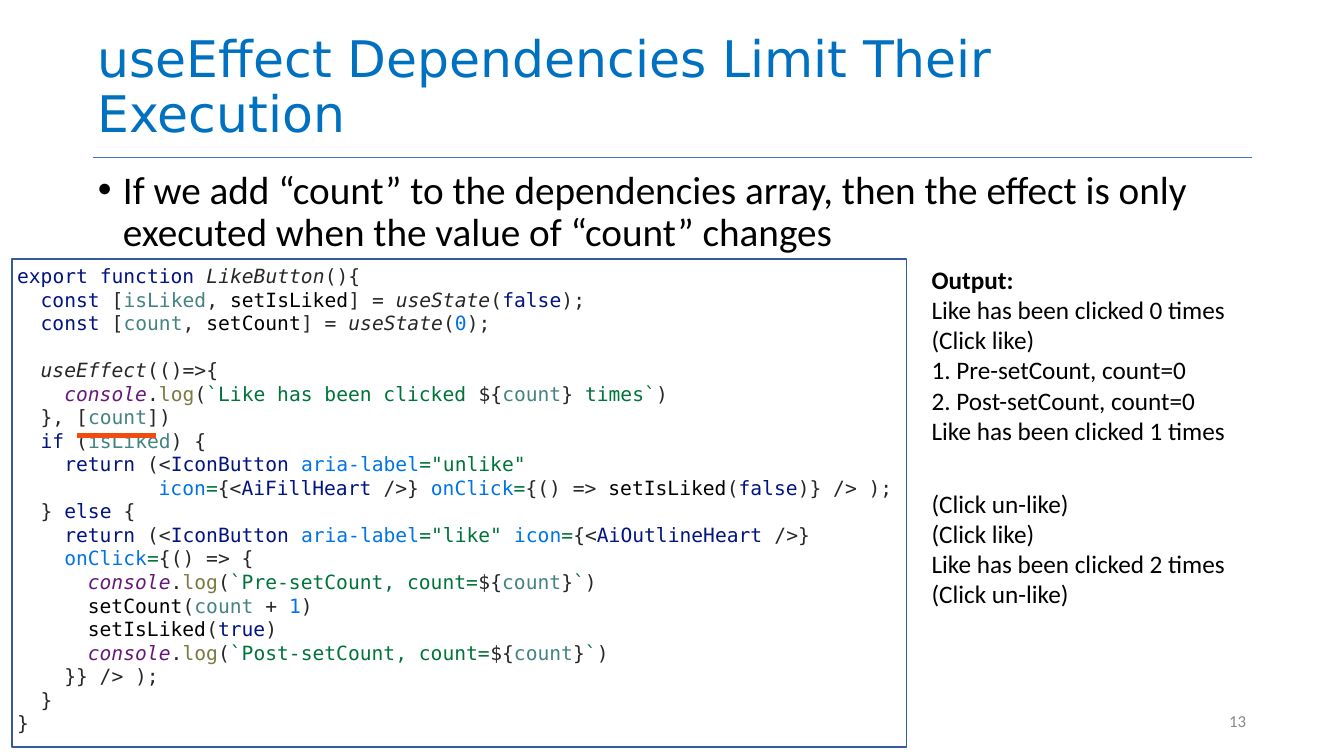
from dataclasses import dataclass
from typing import NamedTuple

from lxml import etree
from pptx import Presentation
from pptx.dml.color import RGBColor
from pptx.enum.shapes import MSO_CONNECTOR, MSO_SHAPE
from pptx.enum.text import MSO_ANCHOR, MSO_AUTO_SIZE, PP_ALIGN
from pptx.oxml.ns import qn
from pptx.util import Inches, Pt

STRAIGHT = MSO_CONNECTOR.STRAIGHT
RECTANGLE = MSO_SHAPE.RECTANGLE
TOP, MIDDLE, BOTTOM = MSO_ANCHOR.TOP, MSO_ANCHOR.MIDDLE, MSO_ANCHOR.BOTTOM
LEFT, RIGHT = PP_ALIGN.LEFT, PP_ALIGN.RIGHT
NO_AUTOFIT = MSO_AUTO_SIZE.NONE

SANS, TITLE_FONT, MONO = "Calibri", "DejaVu Sans", "DejaVu Sans Mono"
COLUMN_WIDTH = 0.117
CODE_LINE_HEIGHT = 16.8


@dataclass(frozen=True)
class Style:
    font: str
    size: float
    color: str
    bold: bool = False
    italic: bool = False


class Span(NamedTuple):
    text: str
    style: Style


class CodeLine(NamedTuple):
    column: int
    spans: list[Span]
    gap_before: float = 0


class Rule(NamedTuple):
    left: float
    right: float
    y: float
    color: str
    width: float


class Note(NamedTuple):
    top: float
    height: float
    paragraphs: list[Span]


TITLE = Style(TITLE_FONT, 36, "0070C0")
BODY = Style(SANS, 28, "000000")
NUMBER = Style(SANS, 12, "888888")
OUTPUT = Style(SANS, 18, "000000")
HEADING = Style(SANS, 18, "000000", bold=True)
PLAIN = Style(MONO, 14, "272727")
CALL = Style(MONO, 14, "272727", italic=True)
KEYWORD = Style(MONO, 14, "011480")
VARIABLE = Style(MONO, 14, "458383")
SETTER = Style(MONO, 14, "000000")
LITERAL = Style(MONO, 14, "0073E6")
STRING = Style(MONO, 14, "00733B")
OBJECT = Style(MONO, 14, "66187A", italic=True)
METHOD = Style(MONO, 14, "7A7A43")


def state_line(value: str, setter: str, initial: Span) -> CodeLine:
    return CodeLine(2, [
        Span("const ", KEYWORD), Span("[", PLAIN), Span(value, VARIABLE), Span(", ", PLAIN),
        Span(setter, SETTER), Span("] = ", PLAIN), Span("useState", CALL), Span("(", PLAIN),
        initial, Span(");", PLAIN)])


def log_line(column: int, before: str, after: str) -> CodeLine:
    return CodeLine(column, [
        Span("console", OBJECT), Span(".", PLAIN), Span("log", METHOD), Span("(", PLAIN),
        Span(before, STRING), Span("${", PLAIN), Span("count", VARIABLE), Span("}", PLAIN),
        Span(after, STRING), Span(")", PLAIN)])


def attribute(name: str) -> list[Span]:
    return [Span(name, LITERAL), Span("=", STRING)]


def icon(name: str) -> list[Span]:
    return [*attribute("icon"), Span("{<", PLAIN), Span(name, KEYWORD)]


def button(label: str) -> list[Span]:
    return [Span("return ", KEYWORD), Span("(<", PLAIN), Span("IconButton ", KEYWORD),
            Span("aria-label", LITERAL), Span(label, STRING)]


def setter_call(name: str, value: str) -> list[Span]:
    return [Span(name, SETTER), Span("(", PLAIN), Span(value, KEYWORD)]


CODE = [
    CodeLine(0, [Span("export function ", KEYWORD), Span("LikeButton", CALL), Span("(){", PLAIN)]),
    state_line("isLiked", "setIsLiked", Span("false", KEYWORD)),
    state_line("count", "setCount", Span("0", LITERAL)),
    CodeLine(2, [Span("useEffect", CALL), Span("(()=>{", PLAIN)], CODE_LINE_HEIGHT),
    log_line(4, "`Like has been clicked ", " times`"),
    CodeLine(2, [Span("}, [", PLAIN), Span("count", VARIABLE), Span("])", PLAIN)]),
    CodeLine(2, [Span("if ", KEYWORD), Span("(", PLAIN), Span("isLiked", VARIABLE),
                 Span(") {", PLAIN)]),
    CodeLine(4, button("=\"unlike\"")),
    CodeLine(12, [*icon("AiFillHeart "), Span("/>} ", PLAIN), *attribute("onClick"),
                  Span("{() => ", PLAIN), *setter_call("setIsLiked", "false"),
                  Span(")} /> );", PLAIN)]),
    CodeLine(2, [Span("} ", PLAIN), Span("else ", KEYWORD), Span("{", PLAIN)]),
    CodeLine(4, [*button("=\"like\" "), *icon("AiOutlineHeart "), Span("/>}", PLAIN)]),
    CodeLine(4, [*attribute("onClick"), Span("{() => {", PLAIN)]),
    log_line(6, "`Pre-setCount, count=", "`"),
    CodeLine(6, [Span("setCount", SETTER), Span("(", PLAIN), Span("count ", VARIABLE),
                 Span("+ ", PLAIN), Span("1", LITERAL), Span(")", PLAIN)]),
    CodeLine(6, [*setter_call("setIsLiked", "true"), Span(")", PLAIN)]),
    log_line(6, "`Post-setCount, count=", "`"),
    CodeLine(4, [Span("}} /> );", PLAIN)]),
    CodeLine(2, [Span("}", PLAIN)]),
    CodeLine(0, [Span("}", PLAIN)]),
]

NOTES = [
    Note(2.57, 1.96, [
        Span("Output:", HEADING),
        Span("Like has been clicked 0 times", OUTPUT),
        Span("(Click like)\n1. Pre-setCount, count=0\n2. Post-setCount, count=0\n"
             "Like has been clicked 1 times", OUTPUT)]),
    Note(4.79, 1.32, [Span(text, OUTPUT) for text in (
        "(Click un-like)", "(Click like)", "Like has been clicked 2 times", "(Click un-like)")]),
]
RULES = [Rule(0.92, 12.42, 1.56, "4472C4", 0.5), Rule(0.76, 1.55, 4.32, "F14C0E", 4)]


def rgb(color: str) -> RGBColor:
    return RGBColor.from_string(color)


def add_span(para, span: Span) -> None:
    for index, text in enumerate(span.text.split("\n")):
        if index:
            para.add_line_break()
        run = para.add_run()
        run.text = text
        font = run.font
        font.name, font.size = span.style.font, Pt(span.style.size)
        font.bold, font.italic = span.style.bold, span.style.italic
        font.color.rgb = rgb(span.style.color)


def format_frame(frame, anchor=TOP, wrap: bool = True) -> None:
    frame.auto_size, frame.word_wrap, frame.vertical_anchor = NO_AUTOFIT, wrap, anchor
    frame.margin_left = frame.margin_right = Inches(0.05)
    frame.margin_top = frame.margin_bottom = Inches(0.05)


def fill_frame(frame, paragraphs: list[list[Span]], align=LEFT) -> None:
    for index, spans in enumerate(paragraphs):
        para = frame.add_paragraph() if index else frame.paragraphs[0]
        para.alignment = align
        for span in spans:
            add_span(para, span)


def add_text(page, place: tuple, paragraphs: list[list[Span]], anchor=TOP, align=LEFT,
             wrap: bool = True):
    box = page.shapes.add_textbox(*map(Inches, place))
    format_frame(box.text_frame, anchor, wrap)
    fill_frame(box.text_frame, paragraphs, align)
    return box


def add_rule(page, rule: Rule) -> None:
    line = page.shapes.add_connector(
        STRAIGHT, Inches(rule.left), Inches(rule.y), Inches(rule.right), Inches(rule.y))
    line.line.color.rgb, line.line.width = rgb(rule.color), Pt(rule.width)
    etree.SubElement(line._element.spPr, qn("a:effectLst"))


def add_title(page) -> None:
    title = page.shapes.title
    title.left, title.top, title.width, title.height = map(Inches, (0.92, 0.02, 11.5, 1.45))
    format_frame(title.text_frame, BOTTOM)
    fill_frame(title.text_frame, [[Span("useEffect Dependencies Limit Their Execution", TITLE)]])
    title.text_frame.paragraphs[0].line_spacing = 0.9


def add_bullet(page) -> None:
    text = ("If we add “count” to the dependencies array, then the effect is only "
            "executed when the value of “count” changes")
    box = add_text(page, (0.92, 1.64, 11.5, 4.76), [[Span(text, BODY)]])
    para = box.text_frame.paragraphs[0]
    para.line_spacing, para.space_before = 0.9, Pt(10)
    props = para._p.get_or_add_pPr()
    props.set("marL", str(Inches(0.25)))
    props.set("indent", str(Inches(-0.25)))
    etree.SubElement(props, qn("a:buFont")).set("typeface", "Arial")
    etree.SubElement(props, qn("a:buChar")).set("char", "•")


def add_code(page) -> None:
    box = page.shapes.add_shape(RECTANGLE, *map(Inches, (0.12, 2.57, 8.87, 4.84)))
    box.shadow.inherit = False
    box.fill.background()
    box.line.color.rgb, box.line.width = rgb("365B9D"), Pt(1)
    format_frame(box.text_frame)
    fill_frame(box.text_frame, [line.spans for line in CODE])
    for para, line in zip(box.text_frame.paragraphs, CODE):
        para.space_before = Pt(line.gap_before)
        para._p.get_or_add_pPr().set("marL", str(Inches(line.column * COLUMN_WIDTH)))


def main() -> None:
    deck = Presentation()
    deck.slide_width, deck.slide_height = Inches(13.33), Inches(7.5)
    page = deck.slides.add_slide(deck.slide_layouts.get_by_name("Title Only"))
    add_title(page)
    add_bullet(page)
    add_text(page, (12.13, 7.02, 0.28, 0.27), [[Span("13", NUMBER)]], MIDDLE, RIGHT, False)
    add_code(page)
    for note in NOTES:
        add_text(page, (9.19, note.top, 3.03, note.height),
                 [[span] for span in note.paragraphs], wrap=False)
    for rule in RULES:
        add_rule(page, rule)
    deck.save("out.pptx")


if __name__ == "__main__":
    main()
